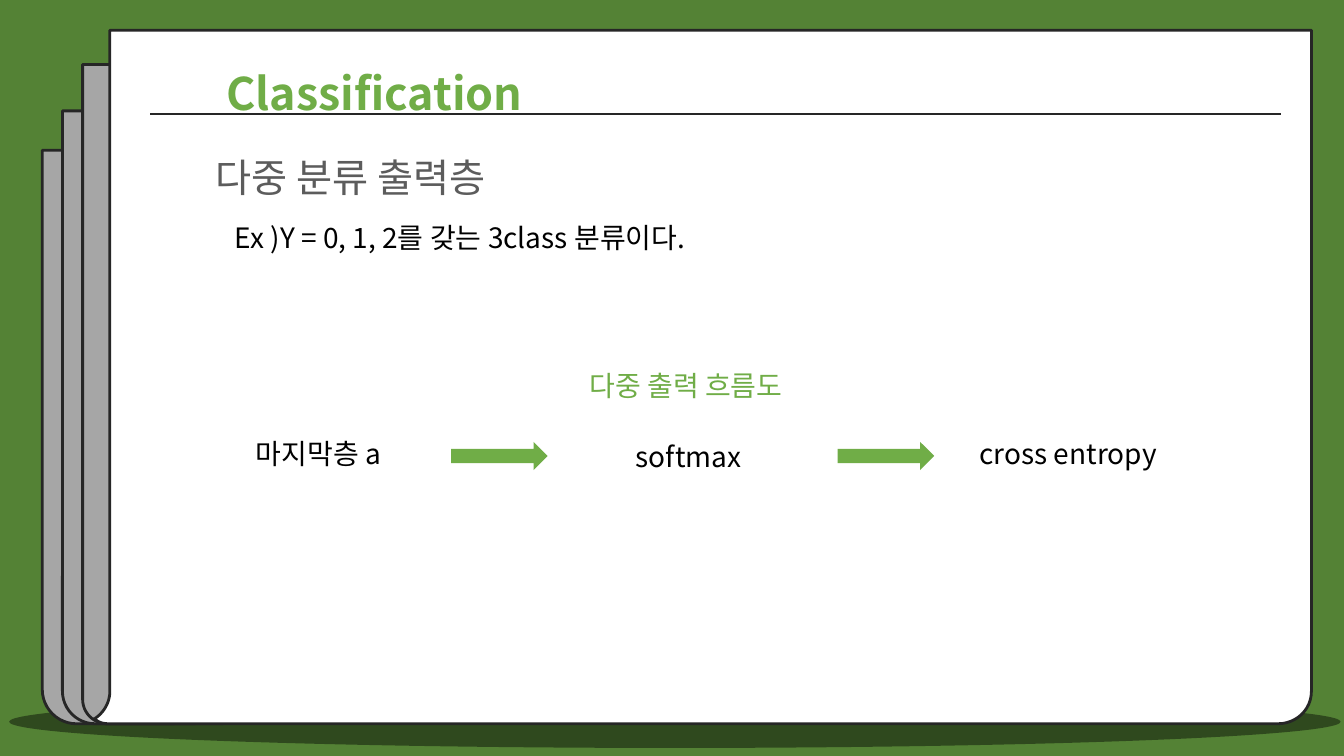
from dataclasses import dataclass

from lxml import etree
from pptx import Presentation
from pptx.dml.color import RGBColor
from pptx.enum import shapes, text
from pptx.oxml import ns
from pptx.util import Inches, Pt

COLUMNS, ROWS = 160, 90
WIDTH, HEIGHT = Inches(13.33), Inches(7.5)


@dataclass(frozen=True)
class Theme:
    font: str = "Noto Sans CJK KR"
    background: str = "548235"
    accent: str = "70AD47"
    outline: str = "262626"
    sheet: str = "A6A6A6"
    page: str = "FFFFFF"
    heading: str = "5C5C5C"
    body: str = "000000"
    title_size: int = 32
    heading_size: int = 28
    body_size: int = 20
    outline_width: float = 2
    rule_width: float = 1.5


THEME = Theme()


def across(columns):
    return round(WIDTH * columns / COLUMNS)


def down(rows):
    return round(HEIGHT * rows / ROWS)


def box(left, top, width, height):
    return across(left), down(top), across(width), down(height)


def paint(shape, fill, outline=None, alpha=None):
    shape.shadow.inherit = False
    shape.fill.solid()
    shape.fill.fore_color.rgb = RGBColor.from_string(fill)
    if alpha is not None:
        color = shape._element.spPr.find(".//" + ns.qn("a:srgbClr"))
        etree.SubElement(color, ns.qn("a:alpha"), val=str(alpha * 1000))
    if outline:
        shape.line.color.rgb = RGBColor.from_string(outline)
        shape.line.width = Pt(THEME.outline_width)
    else:
        shape.line.fill.background()


def add_preset(slide, kind, area, fill, **style):
    shape = slide.shapes.add_shape(kind, *box(*area))
    paint(shape, fill, **style)
    return shape


def add_label(slide, content, area, size=THEME.body_size, color=THEME.body,
              bold=False, align=text.PP_ALIGN.LEFT, spacing=None):
    frame = slide.shapes.add_textbox(*box(*area)).text_frame
    frame.word_wrap = True
    frame.auto_size = text.MSO_AUTO_SIZE.SHAPE_TO_FIT_TEXT
    paragraph = frame.paragraphs[0]
    paragraph.alignment = align
    paragraph.line_spacing = spacing
    run = paragraph.add_run()
    run.text = content
    font = run.font
    font.name, font.size, font.bold = THEME.font, Pt(size), bold
    font.color.rgb = RGBColor.from_string(color)
    etree.SubElement(run._r.get_or_add_rPr(), ns.qn("a:ea"), typeface=THEME.font)


def curve(start, first, second, end, steps=12):
    points = []
    for step in range(steps + 1):
        t = step / steps
        weights = ((1 - t) ** 3, 3 * t * (1 - t) ** 2, 3 * t ** 2 * (1 - t), t ** 3)
        corners = (start, first, second, end)
        points.append(tuple(sum(weight * corner[axis] for weight, corner in zip(weights, corners))
                            for axis in (0, 1)))
    return points


def add_front_page(slide):
    left, top, right, bottom, bend = 13.08, 3.6, 156.12, 86.16, 82.32
    outline = [(left, top), (right, top)]
    outline += curve((right, bend), (right, 84.48), (154.32, bottom), (152.16, bottom))
    outline += curve((13.2, bottom), (12.72, bottom), (12.24, bottom), (11.76, 85.92))
    outline += [(11.16, 85.56)]
    outline += curve((11.28, 85.56), (12.36, 84.84), (left, 83.64), (left, bend))
    points = [(across(x), down(y)) for x, y in outline]
    builder = slide.shapes.build_freeform(*points[0])
    builder.add_line_segments(points[1:], close=True)
    paint(builder.convert_to_shape(), THEME.page, outline=THEME.outline)


def add_rule(slide, left, right, row):
    rule = slide.shapes.add_connector(shapes.MSO_CONNECTOR.STRAIGHT,
                                      across(left), down(row), across(right), down(row))
    rule.line.color.rgb = RGBColor.from_string(THEME.outline)
    rule.line.width = Pt(THEME.rule_width)
    etree.SubElement(rule._element.spPr, ns.qn("a:effectLst"))


def add_notebook(slide):
    preset = shapes.MSO_SHAPE
    add_preset(slide, preset.OVAL, (1.08, 82.8, 158.52, 6.24), THEME.body, alpha=43)
    for index, (top, rounding) in enumerate([(17.88, 0.21), (13.2, 0.2), (7.68, 0.15)]):
        area = (5.04 + 2.4 * index, top, 19.44, 86.16 - top)
        sheet = add_preset(slide, preset.ROUND_2_SAME_RECTANGLE, area,
                           THEME.sheet, outline=THEME.outline)
        sheet.adjustments[0] = 0
        sheet.adjustments[1] = rounding
    add_front_page(slide)
    add_rule(slide, 17.88, 152.52, 13.56)


def add_flow(slide):
    add_label(slide, "다중 출력 흐름도", (69, 43.32, 61.2, 5.28), color=THEME.accent)
    for step, left, top, width in [("마지막층 a", 29.28, 51.36, 19.44),
                                   ("softmax", 74.52, 51.72, 19.44),
                                   ("cross entropy", 115.44, 51.36, 45.6)]:
        add_label(slide, step, (left, top, width, 5.28))
    for left in (53.7, 99.72):
        add_preset(slide, shapes.MSO_SHAPE.RIGHT_ARROW, (left, 52.6, 11.5, 3.36), THEME.accent)


def main():
    presentation = Presentation()
    presentation.slide_width, presentation.slide_height = WIDTH, HEIGHT
    slide = presentation.slides.add_slide(presentation.slide_layouts[6])
    slide.background.fill.solid()
    slide.background.fill.fore_color.rgb = RGBColor.from_string(THEME.background)
    add_notebook(slide)
    add_label(slide, "Classification", (6.72, 4.08, 75.72, 9.84), size=THEME.title_size,
              color=THEME.accent, bold=True, align=text.PP_ALIGN.CENTER, spacing=1.5)
    add_label(slide, "다중 분류 출력층", (24.48, 17.64, 55.56, 6.84),
              size=THEME.heading_size, color=THEME.heading)
    add_label(slide, "Ex )Y = 0, 1, 2를 갖는 3class 분류이다.", (26.76, 25.68, 61.2, 5.28))
    add_flow(slide)
    presentation.save("out.pptx")


if __name__ == "__main__":
    main()
